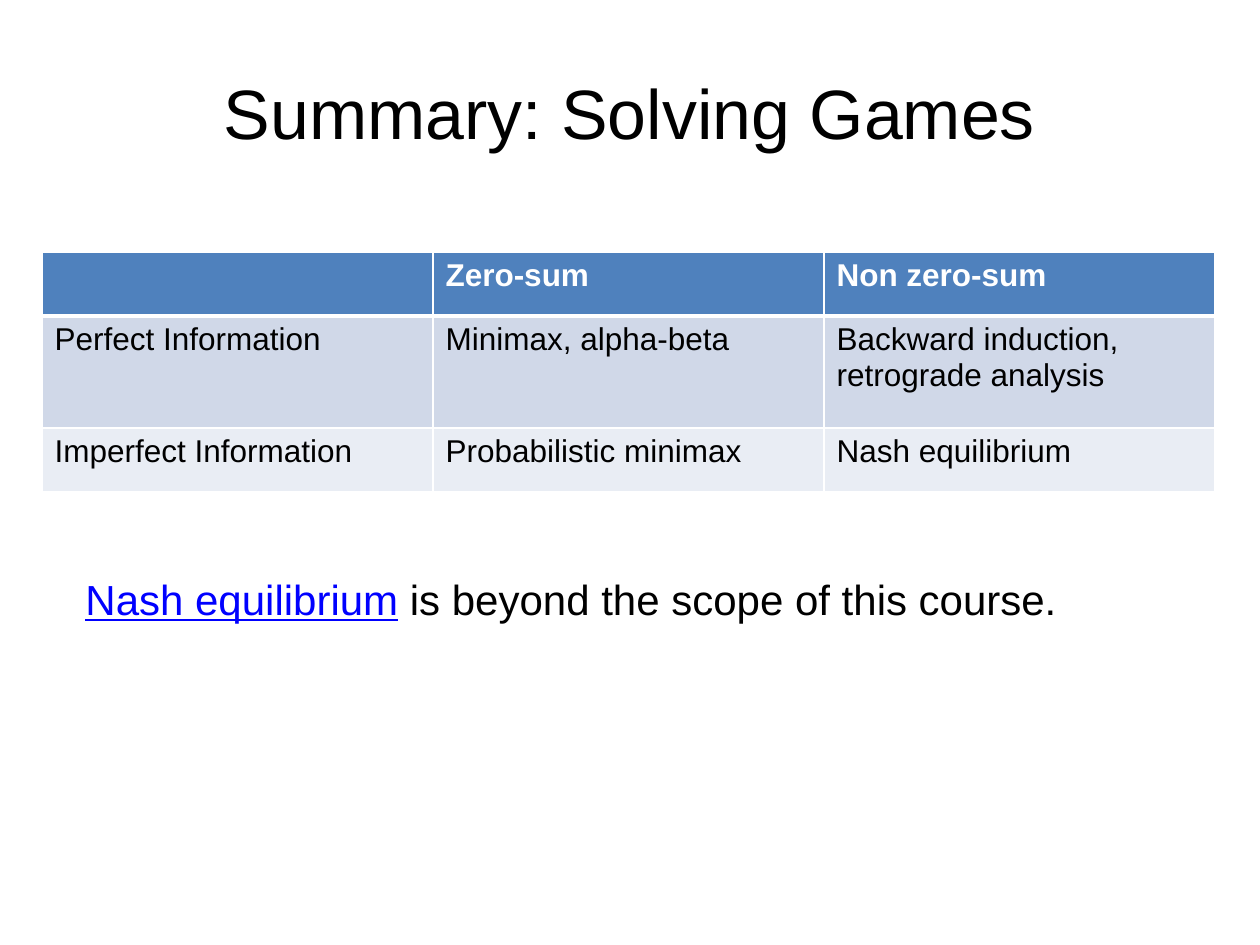
from dataclasses import dataclass

from lxml.etree import SubElement
from pptx import Presentation
from pptx.dml.color import RGBColor
from pptx.enum.text import MSO_ANCHOR, MSO_AUTO_SIZE, PP_ALIGN
from pptx.oxml.ns import qn
from pptx.util import Pt

EMU_PER_PX = 914400 / 126


@dataclass(frozen=True)
class Theme:
    """Colours, font and type sizes of the slide."""
    font: str = "Arial"
    text: str = "000000"
    link: str = "0000FF"
    white: str = "FFFFFF"
    header: str = "4F81BD"
    bands: tuple = ("D0D8E8", "E9EDF4")
    title_size: float = 39.9
    table_size: int = 18
    note_size: int = 24


THEME = Theme()
GAMES = [
    ["", "Zero-sum", "Non zero-sum"],
    ["Perfect Information", "Minimax, alpha-beta", "Backward induction, retrograde analysis"],
    ["Imperfect Information", "Probabilistic minimax", "Nash equilibrium"],
]


def px(n):
    """Turn pixels into EMU."""
    return round(n * EMU_PER_PX)


def add_text(p, text, size, color=THEME.text, bold=False, underline=False):
    """Append a formatted run to a paragraph."""
    r = p.add_run()
    r.text = text
    r.font.name = THEME.font
    r.font.size = Pt(size)
    r.font.bold = bold
    r.font.underline = underline
    r.font.color.rgb = RGBColor.from_string(color)


def set_title(s, text, x, y, w, h):
    """Place and fill the title placeholder."""
    sp = s.shapes.title
    sp.left, sp.top, sp.width, sp.height = map(px, (x, y, w, h))
    tf = sp.text_frame
    tf.margin_left = tf.margin_top = tf.margin_right = tf.margin_bottom = 0
    tf.vertical_anchor = MSO_ANCHOR.MIDDLE
    p = tf.paragraphs[0]
    p.alignment = PP_ALIGN.CENTER
    p.line_spacing = 0.9
    add_text(p, text, THEME.title_size)


def set_borders(cell, top, bottom):
    """Draw white cell borders with the given top and bottom widths in points."""
    tcPr = cell._tc.get_or_add_tcPr()
    for side, width in (("L", 1), ("R", 1), ("T", top), ("B", bottom)):
        ln = SubElement(tcPr, qn(f"a:ln{side}"), w=str(Pt(width)))
        fill = SubElement(ln, qn("a:solidFill"))
        SubElement(fill, qn("a:srgbClr"), val=THEME.white)


def fill_cell(cell, text, row):
    """Format one cell according to its row."""
    is_header = row == 0
    set_borders(cell, top=3 if row == 1 else 1, bottom=3 if is_header else 1)
    cell.fill.solid()
    color = THEME.header if is_header else THEME.bands[(row - 1) % 2]
    cell.fill.fore_color.rgb = RGBColor.from_string(color)
    if text:
        add_text(cell.text_frame.paragraphs[0], text, THEME.table_size,
                 color=THEME.white if is_header else THEME.text, bold=is_header)


def add_games_table(s, rows, x, y, col_width, row_heights):
    """Add the table of solution methods."""
    cols = len(rows[0])
    table = s.shapes.add_table(len(rows), cols, px(x), px(y),
                               px(col_width * cols), px(sum(row_heights))).table
    for col in table.columns:
        col.width = px(col_width)
    for i, (texts, height) in enumerate(zip(rows, row_heights)):
        table.rows[i].height = px(height)
        for j, text in enumerate(texts):
            fill_cell(table.cell(i, j), text, i)


def add_note(s, term, rest, x, y, w, h):
    """Add a sentence that starts with an underlined term."""
    tf = s.shapes.add_textbox(*map(px, (x, y, w, h))).text_frame
    tf.word_wrap = True
    tf.auto_size = MSO_AUTO_SIZE.SHAPE_TO_FIT_TEXT
    p = tf.paragraphs[0]
    add_text(p, term, THEME.note_size, color=THEME.link, underline=True)
    add_text(p, rest, THEME.note_size)


def main():
    """Build and save the slide."""
    prs = Presentation()
    prs.slide_width, prs.slide_height = px(1260), px(945)
    s = prs.slides.add_slide(prs.slide_layouts[5])
    set_title(s, "Summary: Solving Games", 63, 38, 1134, 157)
    add_games_table(s, GAMES, 42, 252, 391, (64, 112, 64))
    add_note(s, "Nash equilibrium", " is beyond the scope of this course.", 73, 567, 1092, 63)
    prs.save("out.pptx")


if __name__ == "__main__":
    main()
